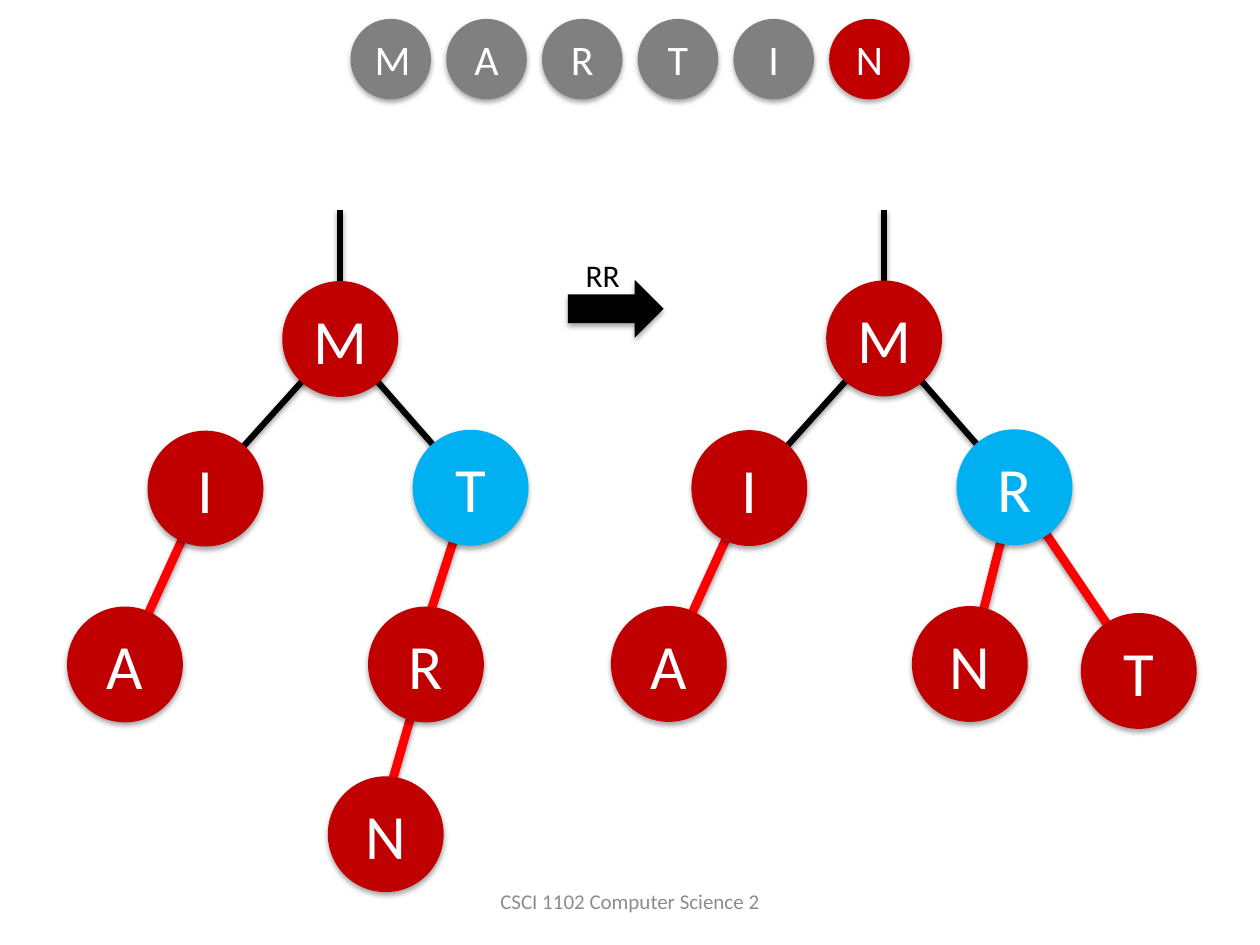
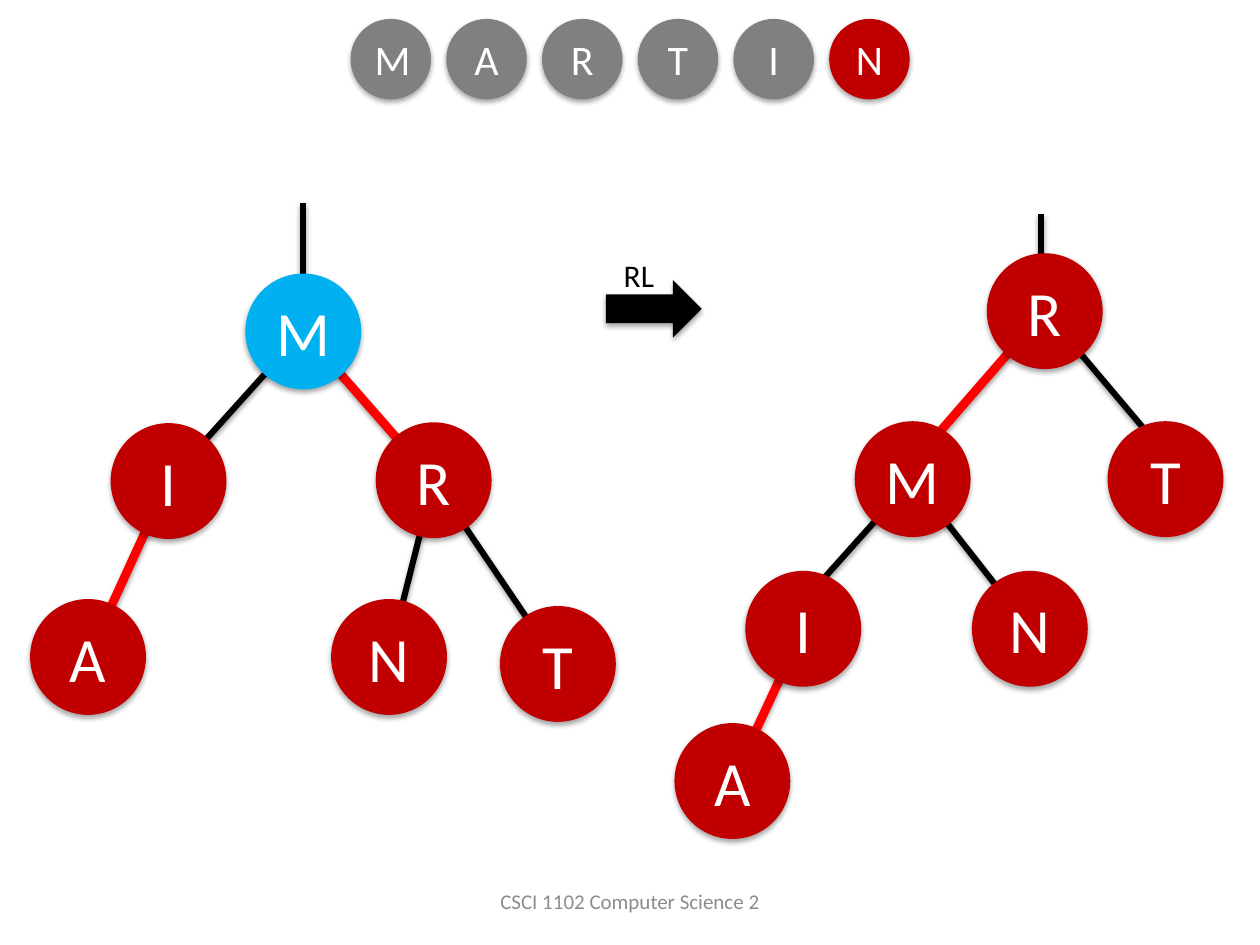
"""Build two slides that show AVL tree rotations after inserting N of MARTIN."""
from dataclasses import dataclass

from lxml.etree import SubElement
from pptx import Presentation
from pptx.dml.color import RGBColor
from pptx.enum.shapes import MSO_CONNECTOR as Connector, MSO_SHAPE as Shape
from pptx.enum.text import MSO_ANCHOR as Anchor, PP_ALIGN as Align
from pptx.oxml.ns import qn
from pptx.util import Pt

BLACK = RGBColor(0x00, 0x00, 0x00)
WHITE = RGBColor(0xFF, 0xFF, 0xFF)
DONE_GREY = RGBColor(0x80, 0x80, 0x80)
FOOTER_GREY = RGBColor(0x8C, 0x8C, 0x8C)
NODE_RED = RGBColor(0xC0, 0x00, 0x00)
PIVOT_BLUE = RGBColor(0x00, 0xB0, 0xF0)
HEAVY_RED = RGBColor(0xFF, 0x00, 0x00)

FONT = "Calibri"
FOOTER = "CSCI 1102 Computer Science 2"
WORD = "MARTIN"
NODE_SIZE = 66.2
LETTER_SIZE = 46
LETTER_STEP = 54.7


@dataclass
class Node:
    """A child node, placed relative to its root; lean shifts its edge's end."""
    letter: str
    parent: str
    dx: float
    dy: float
    heavy: bool = False
    lean: float = 0


LEFT_BRANCH = [Node("I", "M", -77, 85.5), Node("A", "I", -123, 186, heavy=True)]


def right_branch(heavy_root, heavy_children):
    """Return the branch R with children N and T."""
    return [
        Node("R", "M", 74.5, 85, heavy_root),
        Node("N", "R", 49, 186, heavy_children),
        Node("T", "R", 145.5, 190, heavy_children),
    ]


UNBALANCED = LEFT_BRANCH + [
    Node("T", "M", 74.5, 85),
    Node("R", "T", 49, 186, heavy=True, lean=-7),
    Node("N", "R", 26, 283, heavy=True, lean=-5),
]
AFTER_RIGHT = LEFT_BRANCH + right_branch(False, True)
BEFORE_LEFT = LEFT_BRANCH + right_branch(True, False)
BALANCED = [
    Node("M", "R", -75.5, 96, heavy=True, lean=-8),
    Node("T", "R", 69, 96, lean=12),
    Node("I", "M", -138, 181.5, lean=-14),
    Node("N", "M", -8.5, 181.5),
    Node("A", "I", -178.5, 268.5, heavy=True),
]


def add_shadow(shape, opacity, distance):
    """Give a shape or connector a soft shadow straight below it."""
    properties = shape._element.spPr
    effects = properties.find(qn("a:effectLst"))
    if effects is None:
        effects = SubElement(properties, qn("a:effectLst"))
    shadow = SubElement(effects, qn("a:outerShdw"), blurRad=str(Pt(3.1)),
                        dist=str(Pt(distance)), dir="5400000", rotWithShape="0")
    color = SubElement(shadow, qn("a:srgbClr"), val=str(BLACK))
    SubElement(color, qn("a:alpha"), val=str(opacity * 1000))


def write(frame, text, size, color, align):
    """Set the one paragraph of a text frame."""
    para = frame.paragraphs[0]
    para.text = text
    para.alignment = align
    para.font.name = FONT
    para.font.size = Pt(size)
    para.font.color.rgb = color


def add_solid(page, kind, left, top, width, height, fill):
    """Add a borderless preset shape with a shadow."""
    shape = page.shapes.add_shape(kind, Pt(left), Pt(top), Pt(width), Pt(height))
    shape.fill.solid()
    shape.fill.fore_color.rgb = fill
    shape.line.fill.background()
    shape.shadow.inherit = False
    add_shadow(shape, 35, 1.8)
    return shape


def add_circle(page, letter, x, y, diameter, size, fill):
    """Add a lettered circle centred on a point."""
    circle = add_solid(page, Shape.OVAL, x - diameter / 2, y - diameter / 2,
                       diameter, diameter, fill)
    circle.text_frame.vertical_anchor = Anchor.MIDDLE
    write(circle.text_frame, letter, size, WHITE, Align.CENTER)


def add_edge(page, start, end, heavy=False):
    """Add a tree edge, thick and red on a heavy side."""
    points = [Pt(value) for value in (*start, *end)]
    edge = page.shapes.add_connector(Connector.STRAIGHT, *points)
    edge.line.color.rgb = HEAVY_RED if heavy else BLACK
    edge.line.width = Pt(5 if heavy else 3.5)
    add_shadow(edge, 38, 1.6)


def add_tree(page, root, x, y, nodes, pivot=None, stem=73.5, stem_shift=0):
    """Add a tree: the stem and edges first, then the nodes over them."""
    centres = {root: (x, y)}
    centres.update((node.letter, (x + node.dx, y + node.dy)) for node in nodes)
    stem_x = x + stem_shift
    add_edge(page, (stem_x, y - stem), (stem_x, y - NODE_SIZE / 2 + 2))
    for node in nodes:
        end_x, end_y = centres[node.letter]
        add_edge(page, centres[node.parent], (end_x + node.lean, end_y), node.heavy)
    for letter, centre in centres.items():
        fill = PIVOT_BLUE if letter == pivot else NODE_RED
        add_circle(page, letter, *centre, NODE_SIZE, 36, fill)


def add_rotation(page, label, left):
    """Add the block arrow with the rotation's name above it."""
    add_solid(page, Shape.RIGHT_ARROW, left, 160, 54.7, 33, BLACK)
    box = page.shapes.add_textbox(Pt(left + 3), Pt(142.6), Pt(34), Pt(29))
    box.text_frame.word_wrap = False
    write(box.text_frame, label, 18, BLACK, Align.LEFT)


def add_page(deck):
    """Add a page with the word's letters on top and the footer."""
    page = deck.slides.add_slide(deck.slide_layouts[6])
    for index, letter in enumerate(WORD):
        fill = NODE_RED if index == len(WORD) - 1 else DONE_GREY
        add_circle(page, letter, 223.3 + index * LETTER_STEP, 33.8,
                   LETTER_SIZE, 24, fill)
    box = page.shapes.add_textbox(Pt(246), Pt(500.5), Pt(228), Pt(28.8))
    box.text_frame.word_wrap = True
    box.text_frame.vertical_anchor = Anchor.MIDDLE
    write(box.text_frame, FOOTER, 12, FOOTER_GREY, Align.CENTER)
    return page


def main():
    """Build and save the deck."""
    deck = Presentation()
    deck.slide_width, deck.slide_height = Pt(720), Pt(540)

    page = add_page(deck)
    add_rotation(page, "RR", 324.5)
    add_tree(page, "M", 194.4, 193.7, UNBALANCED, pivot="T")
    add_tree(page, "M", 505.2, 193.4, AFTER_RIGHT, pivot="R")

    page = add_page(deck)
    add_rotation(page, "RL", 346.3)
    add_tree(page, "M", 173.3, 189.4, BEFORE_LEFT, pivot="M")
    add_tree(page, "R", 597, 177.8, BALANCED, stem=55.5, stem_shift=-2)

    deck.save("out.pptx")


if __name__ == "__main__":
    main()
